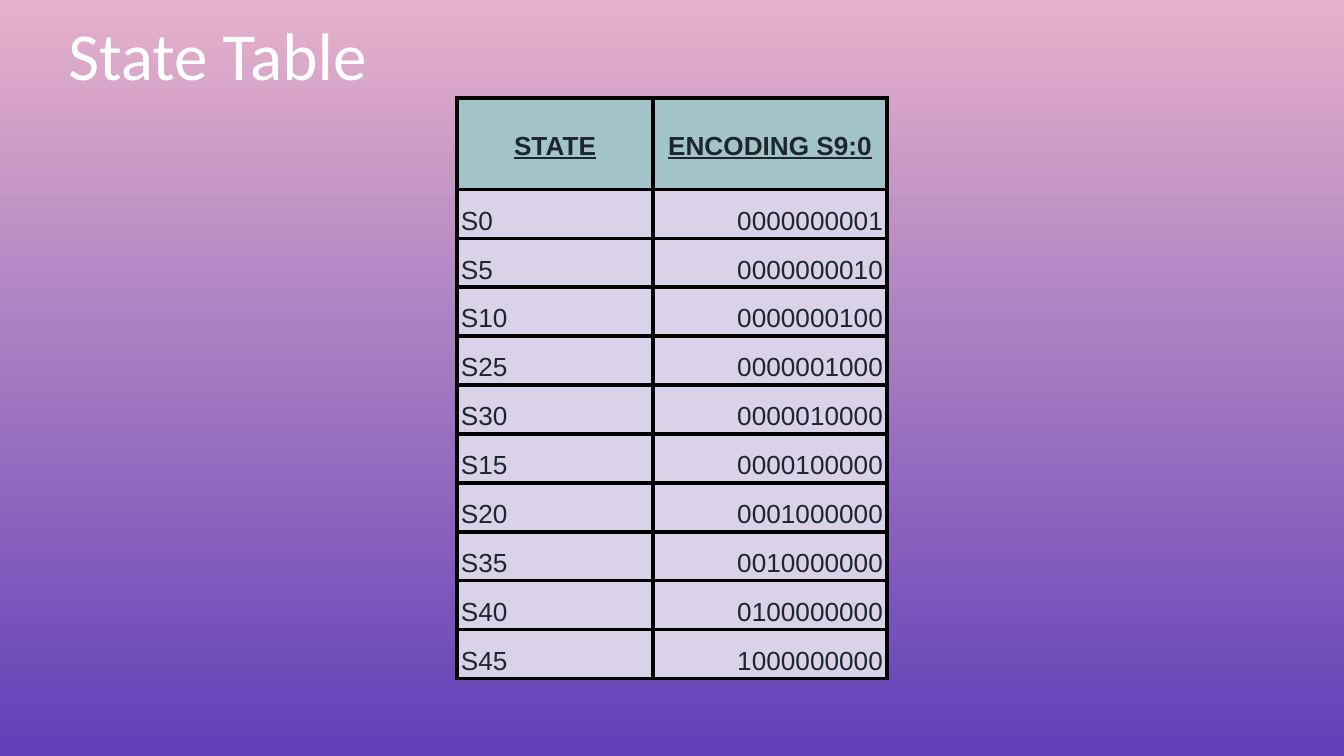
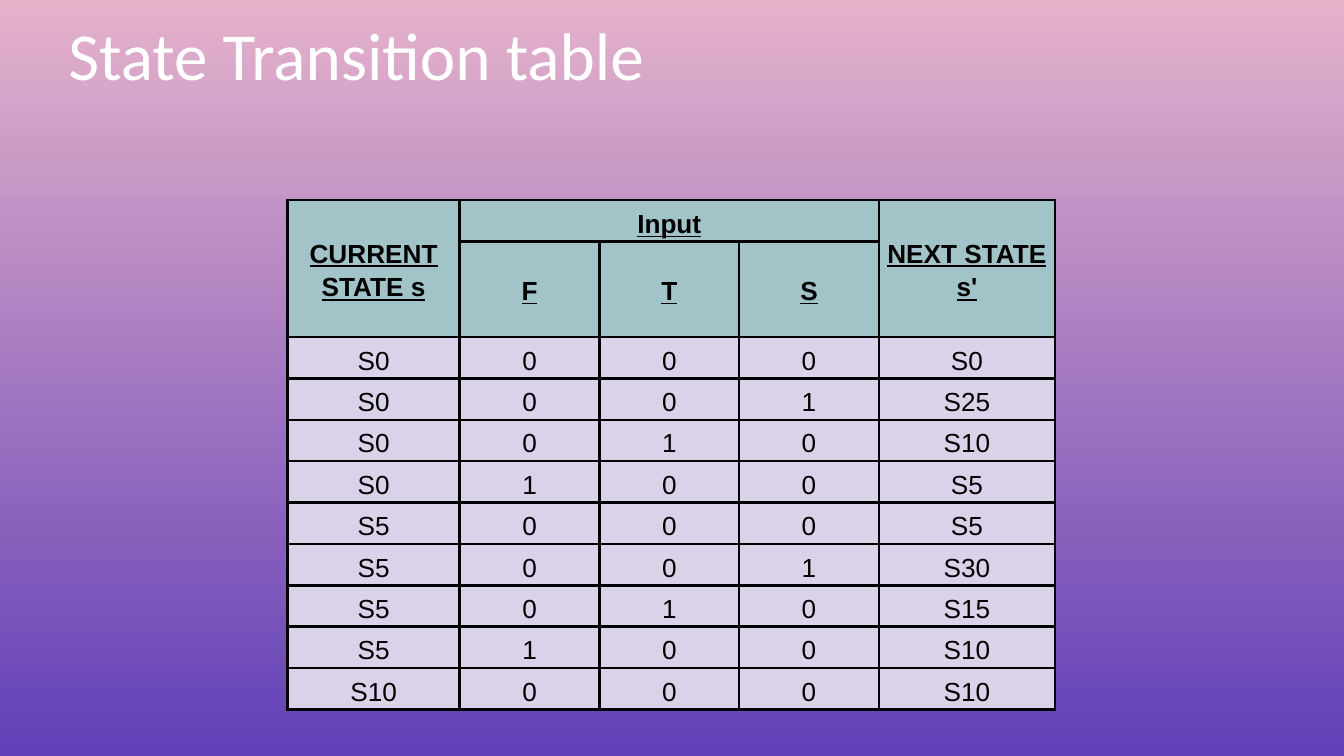
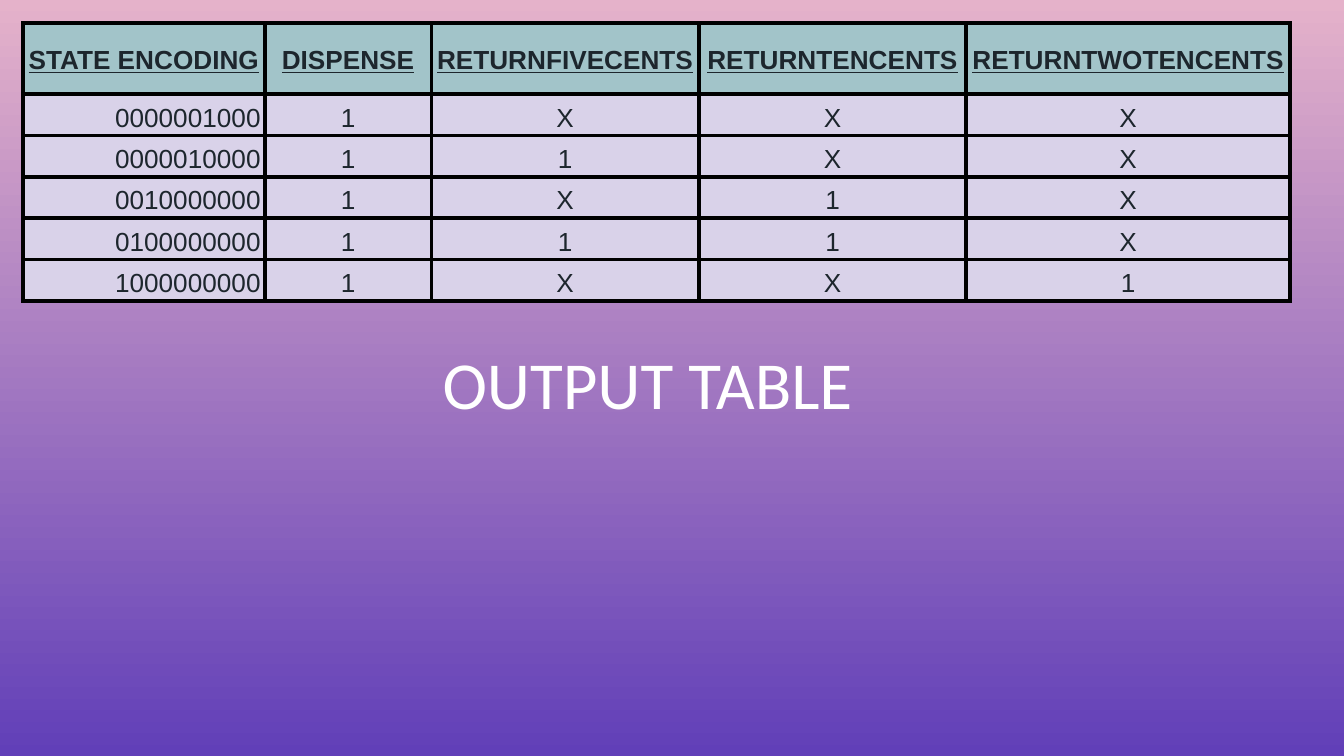
from lxml.etree import SubElement
from pptx import Presentation
from pptx.dml.color import RGBColor as Rgb
from pptx.enum.text import MSO_ANCHOR as Anchor, PP_ALIGN as Align
from pptx.oxml.ns import qn
from pptx.util import Inches, Pt

COLORS = {
    "sky": "E5B2CA",
    "dusk": "613FB8",
    "title": "FFFFFF",
    "header": "A2C4C9",
    "body": "D9D2E9",
    "ink": "1D262D",
    "black": "000000",
}
ALIGNS = {"l": Align.LEFT, "c": Align.CENTER, "r": Align.RIGHT}

STATES = ["S0", "S5", "S10", "S25", "S30", "S15", "S20", "S35", "S40", "S45"]
TRANSITIONS = [
    ("S0", "000", "S0"), ("S0", "001", "S25"), ("S0", "010", "S10"),
    ("S0", "100", "S5"), ("S5", "000", "S5"), ("S5", "001", "S30"),
    ("S5", "010", "S15"), ("S5", "100", "S10"), ("S10", "000", "S10"),
]
OUTPUTS = {"S25": "1XXX", "S30": "11XX", "S35": "1X1X", "S40": "111X", "S45": "1XX1"}


def color(name):
    return Rgb.from_string(COLORS[name])


def encoding(state):
    """One-hot code of a state, by its place in the list."""
    return f"{1 << STATES.index(state):010b}"


def write(frame, text, font="Arial", size=14, ink="ink", bold=False,
          underline=False, align="l", spacing=1.0):
    frame.word_wrap = True
    para = frame.paragraphs[0]
    para.alignment = ALIGNS[align]
    para.line_spacing = spacing
    span = para.add_run()
    span.text = text
    span.font.name = font
    span.font.size = Pt(size)
    span.font.bold = bold
    span.font.underline = underline
    span.font.color.rgb = color(ink)


def add_page(deck):
    page = deck.slides.add_slide(deck.slide_layouts[6])
    fill = page.background.fill
    fill.gradient()
    fill.gradient_angle = 270
    for stop, name in zip(fill.gradient_stops, ("sky", "dusk")):
        stop.color.rgb = color(name)
    return page


def add_title(page, text, left=0.41, top=0, width=9.18, align="l"):
    box = page.shapes.add_textbox(Inches(left), Inches(top), Inches(width), Inches(0.73))
    frame = box.text_frame
    frame.margin_left = frame.margin_right = Inches(0.1)
    frame.margin_top = frame.margin_bottom = Inches(0.1)
    write(frame, text, font="Calibri", size=36, ink="title", align=align)


def add_borders(cell, width):
    properties = cell._tc.get_or_add_tcPr()
    for index, side in enumerate(("lnL", "lnR", "lnT", "lnB")):
        line = SubElement(properties, qn(f"a:{side}"), w=str(Pt(width)))
        fill = SubElement(line, qn("a:solidFill"))
        SubElement(fill, qn("a:srgbClr"), val=COLORS["black"])
        properties.insert(index, line)


def add_grid(page, left, top, widths, heights, rows, aligns,
             header_rows=1, border=2.25, ink="ink", merges=()):
    """Table with header rows on top; merges are (row, column, row, column)."""
    table = page.shapes.add_table(
        len(rows), len(widths), Inches(left), Inches(top),
        Inches(sum(widths)), Inches(sum(heights))).table
    for column, width in zip(table.columns, widths):
        column.width = Inches(width)
    for row, height in zip(table.rows, heights):
        row.height = Inches(height)
    for first_row, first_column, last_row, last_column in merges:
        table.cell(first_row, first_column).merge(table.cell(last_row, last_column))

    for r, texts in enumerate(rows):
        header = r < header_rows
        for c, text in enumerate(texts):
            cell = table.cell(r, c)
            cell.fill.solid()
            cell.fill.fore_color.rgb = color("header" if header else "body")
            add_borders(cell, border)
            cell.margin_left = cell.margin_right = Inches(0.03)
            cell.margin_top = cell.margin_bottom = Inches(0.02)
            cell.vertical_anchor = Anchor.MIDDLE if header else Anchor.BOTTOM
            if text:
                write(cell.text_frame, text, ink=ink, bold=header, underline=header,
                      align="c" if header else aligns[c], spacing=1.15)
    return table


def state_page(deck):
    page = add_page(deck)
    add_title(page, "State Table")
    rows = [("STATE", "ENCODING S9:0")] + [(state, encoding(state)) for state in STATES]
    add_grid(page, 3.4, 0.73, [1.46, 1.74], [0.68] + [3.64 / 10] * 10, rows, "lr")


def transition_page(deck):
    page = add_page(deck)
    add_title(page, "State Transition table")
    rows = [("CURRENT STATE s", "Input", "", "", "NEXT STATE s'"), ("", "F", "T", "S", "")]
    rows += [(state, *inputs, following) for state, inputs, following in TRANSITIONS]
    table = add_grid(
        page, 2.14, 1.49, [1.28] + [1.04] * 3 + [1.31],
        [0.29, 0.71] + [2.63 / 9] * 9, rows, "ccccc", header_rows=2, border=1.5,
        ink="black", merges=[(0, 0, 1, 0), (0, 1, 0, 3), (0, 4, 1, 4)])
    table.cell(0, 1).vertical_anchor = Anchor.BOTTOM


def output_page(deck):
    page = add_page(deck)
    rows = [("STATE ENCODING", "DISPENSE", "RETURNFIVECENTS",
             "RETURNTENCENTS", "RETURNTWOTENCENTS")]
    rows += [(encoding(state), *values) for state, values in OUTPUTS.items()]
    add_grid(page, 0.17, 0.17, [1.8, 1.24, 1.99, 1.99, 2.41],
             [0.53] + [0.3] * 5, rows, "rcccc")
    add_title(page, "OUTPUT TABLE ", left=2.52, top=2.45, width=4.71, align="c")


def main():
    deck = Presentation()
    deck.slide_width = Inches(10)
    deck.slide_height = Inches(10 * 9 / 16)
    state_page(deck)
    transition_page(deck)
    output_page(deck)
    deck.save("out.pptx")


if __name__ == "__main__":
    main()
